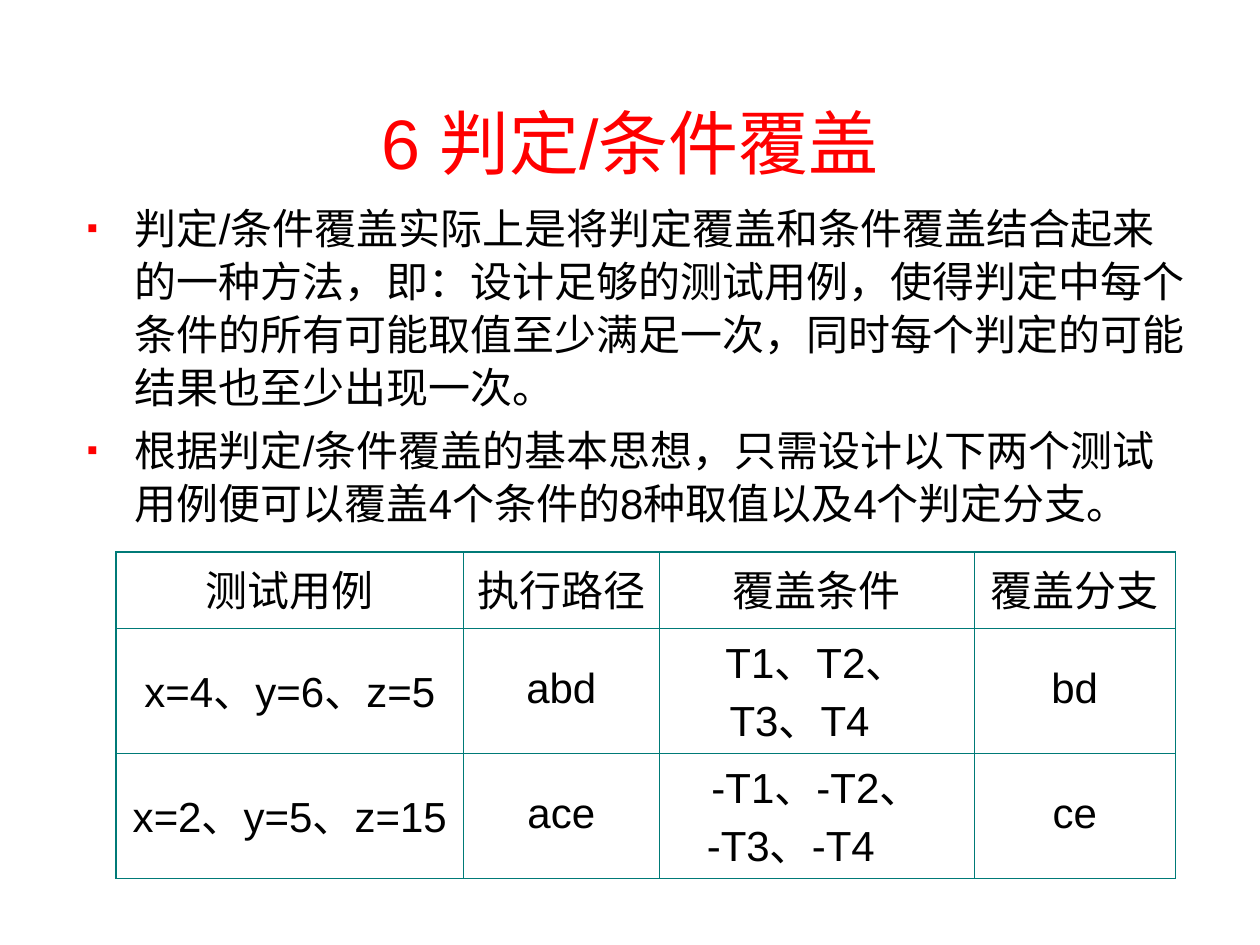
from lxml.etree import SubElement
from pptx import Presentation
from pptx.dml.color import RGBColor
from pptx.enum.text import MSO_ANCHOR, MSO_AUTO_SIZE, PP_ALIGN
from pptx.oxml.ns import qn
from pptx.util import Inches, Pt

FONT = "Arial"
RED, BLACK, TEAL = "FF0000", "000000", "007A77"
THIN, THICK = 0.45, 1.08

TITLE = "6 判定/条件覆盖"
POINTS = [
    "判定/条件覆盖实际上是将判定覆盖和条件覆盖结合起来的一种方法，即：设计足够的测试用例，"
    "使得判定中每个条件的所有可能取值至少满足一次，同时每个判定的可能结果也至少出现一次。",
    "根据判定/条件覆盖的基本思想，只需设计以下两个测试用例便可以覆盖4个条件的8种取值以及4个判定分支。",
]
COLUMN_WIDTHS = [2.76, 1.55, 2.5, 1.6]
ROW_HEIGHTS = [0.61, 0.84, 0.84]
ROWS = [
    ["测试用例", "执行路径", "覆盖条件", "覆盖分支"],
    ["x=4、y=6、z=5", "abd", "T1、T2、\nT3、T4", "bd"],
    ["x=2、y=5、z=15", "ace", "-T1、-T2、\n-T3、-T4", "ce"],
]
SECOND_LINE_INDENTS = {1: 0.46, 2: 0.28}


def color(value):
    return RGBColor.from_string(value)


def write(paragraph, text, size=24, fill=BLACK, align=PP_ALIGN.LEFT,
          line_spacing=1.0, before=0, indent=0, hanging=0):
    paragraph.alignment = align
    paragraph.line_spacing = line_spacing
    paragraph.space_before = Pt(before)
    properties = paragraph._p.get_or_add_pPr()
    properties.set("marL", str(Inches(indent)))
    properties.set("indent", str(-Inches(hanging)))
    run = paragraph.add_run()
    run.text = text
    run.font.name = FONT
    run.font.size = Pt(size)
    run.font.bold = False
    run.font.color.rgb = color(fill)


def add_bullet(paragraph, character, fill, percent):
    properties = paragraph._p.get_or_add_pPr()
    bullet_color = SubElement(properties, qn("a:buClr"))
    SubElement(bullet_color, qn("a:srgbClr"), val=fill)
    SubElement(properties, qn("a:buSzPct"), val=str(percent * 1000))
    SubElement(properties, qn("a:buFont"), typeface=FONT)
    SubElement(properties, qn("a:buChar"), char=character)


def place(shape, left, top, width, height, anchor):
    shape.left, shape.top = Inches(left), Inches(top)
    shape.width, shape.height = Inches(width), Inches(height)
    frame = shape.text_frame
    frame.word_wrap = True
    frame.auto_size = MSO_AUTO_SIZE.NONE
    frame.vertical_anchor = anchor
    return frame


def fill_title(shape, *box):
    frame = place(shape, *box, MSO_ANCHOR.MIDDLE)
    write(frame.paragraphs[0], TITLE, size=40, fill=RED, align=PP_ALIGN.CENTER)


def fill_body(shape, *box):
    frame = place(shape, *box, MSO_ANCHOR.TOP)
    for index, point in enumerate(POINTS):
        paragraph = frame.add_paragraph() if index else frame.paragraphs[0]
        write(paragraph, point, line_spacing=1.05, before=6, indent=0.38, hanging=0.38)
        add_bullet(paragraph, "▪", RED, 75)


def set_borders(cell, widths):
    """Draw the cell's edges; widths are points keyed by L, R, T and B."""
    properties = cell._tc.get_or_add_tcPr()
    for side, width in widths.items():
        line = SubElement(properties, qn(f"a:ln{side}"), w=str(Pt(width)))
        SubElement(SubElement(line, qn("a:solidFill")), qn("a:srgbClr"), val=TEAL)


def fill_cell(cell, text, before, second_line_indent):
    cell.vertical_anchor = MSO_ANCHOR.MIDDLE
    for index, line in enumerate(text.split("\n")):
        frame = cell.text_frame
        if index:
            write(frame.add_paragraph(), line, line_spacing=0.9, before=before,
                  indent=second_line_indent)
        else:
            write(frame.paragraphs[0], line, align=PP_ALIGN.CENTER,
                  line_spacing=0.9, before=before)


def add_case_table(slide, left, top):
    table = slide.shapes.add_table(
        len(ROWS), len(COLUMN_WIDTHS), Inches(left), Inches(top),
        Inches(sum(COLUMN_WIDTHS)), Inches(sum(ROW_HEIGHTS))).table
    table.first_row = table.horz_banding = False
    for column, width in zip(table.columns, COLUMN_WIDTHS):
        column.width = Inches(width)
    last_column = len(COLUMN_WIDTHS) - 1
    for row_index, texts in enumerate(ROWS):
        table.rows[row_index].height = Inches(ROW_HEIGHTS[row_index])
        for column_index, text in enumerate(texts):
            cell = table.cell(row_index, column_index)
            set_borders(cell, {
                "L": THIN if column_index else THICK,
                "R": THICK if column_index == last_column else THIN,
                "T": THIN if row_index else THICK,
                "B": THIN,
            })
            cell.fill.background()
            fill_cell(cell, text, 1.5 if row_index else 6,
                      SECOND_LINE_INDENTS.get(row_index, 0))


def main():
    presentation = Presentation()
    presentation.slide_width, presentation.slide_height = Inches(10), Inches(7.5)
    slide = presentation.slides.add_slide(presentation.slide_layouts[1])
    fill_title(slide.shapes.title, 0.33, 0.75, 9.34, 0.75)
    fill_body(slide.placeholders[1], 0.59, 1.54, 8.98, 3.27)
    add_case_table(slide, 0.92, 4.38)
    presentation.save("out.pptx")


if __name__ == "__main__":
    main()
